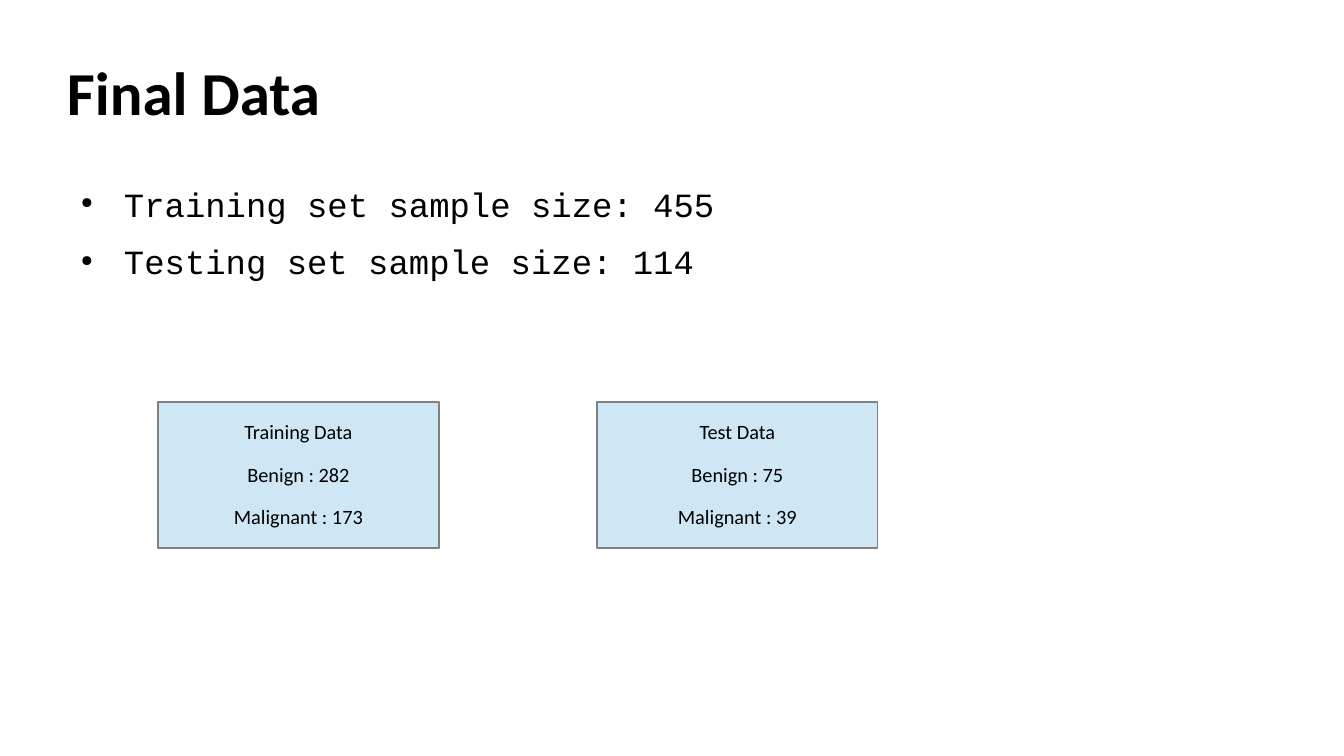
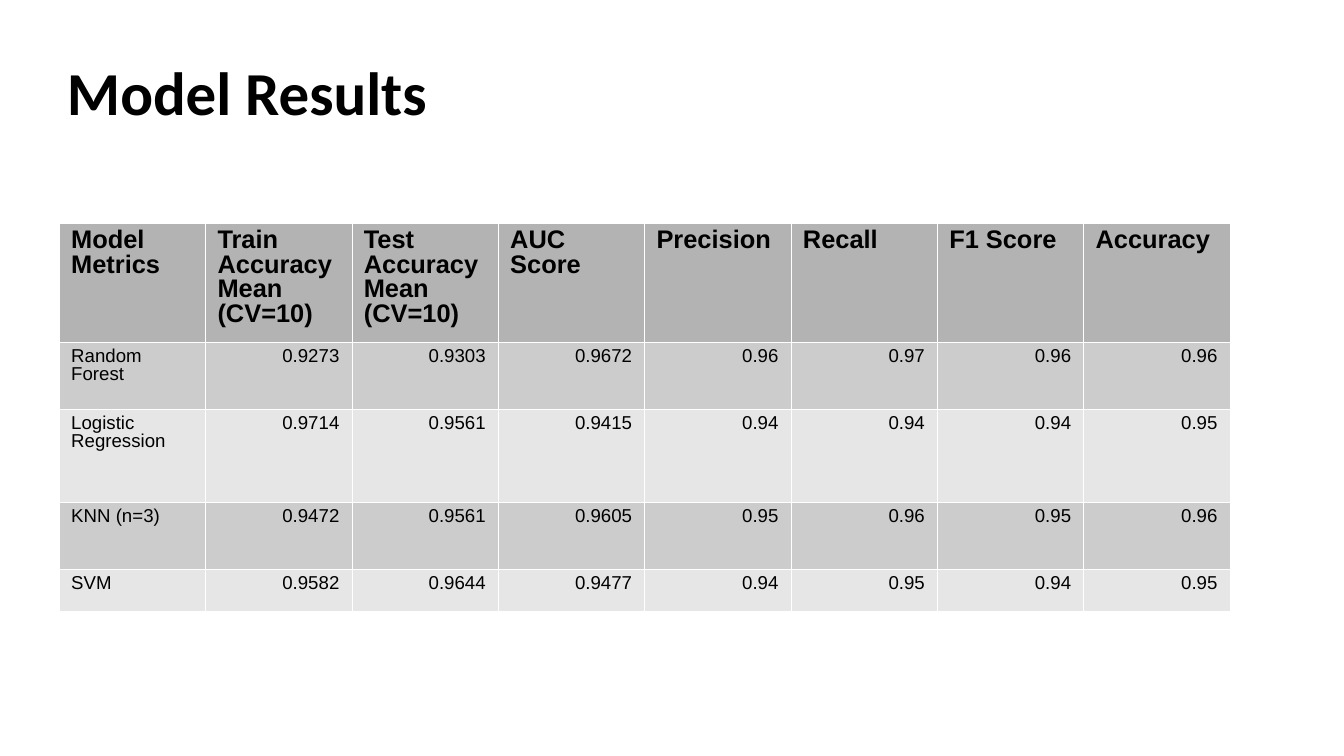
from dataclasses import dataclass
from typing import Any, Optional

from lxml.etree import SubElement as Sub
from pptx import Presentation
from pptx.dml.color import RGBColor as RGB
from pptx.enum.shapes import MSO_SHAPE as Shape
from pptx.enum.text import MSO_ANCHOR as Anchor, PP_ALIGN as Align
from pptx.oxml.ns import qn
from pptx.util import Emu, Pt

SCALE = 914400 / 122


@dataclass(frozen=True)
class Style:
    font: str
    size: int
    lead: float
    bold: bool = False
    after: float = 0


@dataclass(frozen=True)
class Theme:
    ink: str = "000000"
    paper: str = "FFFFFF"
    box: str = "CFE7F5"
    edge: str = "808080"
    head: str = "B3B3B3"
    bands: tuple[str, str] = ("CCCCCC", "E6E6E6")
    title: Style = Style("Calibri", 36, 0.83, bold=True)
    list: Style = Style("Courier New", 20, 0.93, after=11.5)
    label: Style = Style("Calibri", 12, 0.94, after=11.5)
    top: Style = Style("Arial", 15, 0.87, bold=True)
    cell: Style = Style("Arial", 11, 0.87)


@dataclass(frozen=True)
class Rect:
    left: int
    top: int
    width: int
    height: int

    def emu(self) -> tuple[Emu, Emu, Emu, Emu]:
        return px(self.left), px(self.top), px(self.width), px(self.height)


@dataclass(frozen=True)
class Split:
    name: str
    benign: int
    bad: int


@dataclass(frozen=True)
class Row:
    name: str
    values: tuple[str, ...]
    height: int


THEME = Theme()
TITLE = Rect(67, 29, 937, 125)
LIST = Rect(67, 183, 1210, 439)
BOX = Rect(158, 402, 281, 146)
STEP = 439
GRID = Rect(59, 223, 1171, 388)
SPLITS = (Split("Training Data", 282, 173), Split("Test Data", 75, 39))
SIZES = ("Training set sample size: 455", "Testing set sample size: 114")
ROWS = (
    Row("Model Metrics", ("Train Accuracy Mean (CV=10)", "Test Accuracy Mean (CV=10)",
                          "AUC Score", "Precision", "Recall", "F1 Score", "Accuracy"), 119),
    Row("Random Forest", ("0.9273", "0.9303", "0.9672", "0.96", "0.97", "0.96", "0.96"), 67),
    Row("Logistic Regression", ("0.9714", "0.9561", "0.9415", "0.94", "0.94", "0.94", "0.95"), 93),
    Row("KNN (n=3)", ("0.9472", "0.9561", "0.9605", "0.95", "0.96", "0.95", "0.96"), 67),
    Row("SVM", ("0.9582", "0.9644", "0.9477", "0.94", "0.95", "0.94", "0.95"), 42),
)


def px(n: int) -> Emu:
    return Emu(round(n * SCALE))


def bullet(para: Any) -> None:
    props = para._p.get_or_add_pPr()
    props.set("marL", str(px(57)))
    props.set("indent", str(px(-43)))
    tone = Sub(props, qn("a:buClr"))
    Sub(tone, qn("a:srgbClr"), val=THEME.ink)
    Sub(props, qn("a:buSzPct"), val="45000")
    Sub(props, qn("a:buChar"), char="●")


def write(frame: Any, text: str, style: Style, align: Optional[Align] = None,
          dots: bool = False) -> None:
    frame.text = text
    last = len(frame.paragraphs) - 1
    for i, para in enumerate(frame.paragraphs):
        if dots:
            bullet(para)
        para.alignment = align
        para.line_spacing = style.lead
        para.space_after = Pt(style.after if dots or i < last else 0)
        for run in para.runs:
            run.font.name = style.font
            run.font.size = Pt(style.size)
            run.font.bold = style.bold
            run.font.color.rgb = RGB.from_string(THEME.ink)


def inset(frame: Any, left: int, top: int, right: int, low: int) -> None:
    frame.margin_left, frame.margin_top = px(left), px(top)
    frame.margin_right, frame.margin_bottom = px(right), px(low)


def panel(slide: Any, rect: Rect, top: int) -> Any:
    frame = slide.shapes.add_textbox(*rect.emu()).text_frame
    frame.word_wrap = True
    inset(frame, 0, top, 0, 0)
    return frame


def page(deck: Any, title: str) -> Any:
    slide = deck.slides.add_slide(deck.slide_layouts[6])
    frame = panel(slide, TITLE, 11)
    frame.vertical_anchor = Anchor.MIDDLE
    write(frame, title, THEME.title)
    return slide


def card(slide: Any, rect: Rect, split: Split) -> None:
    shape = slide.shapes.add_shape(Shape.RECTANGLE, *rect.emu())
    shape.shadow.inherit = False
    shape.fill.solid()
    shape.fill.fore_color.rgb = RGB.from_string(THEME.box)
    shape.line.color.rgb = RGB.from_string(THEME.edge)
    shape.line.width = Pt(0.75)
    frame = shape.text_frame
    frame.word_wrap = False
    frame.vertical_anchor = Anchor.MIDDLE
    inset(frame, 12, 7, 12, 6)
    text = f"{split.name}\nBenign : {split.benign}\nMalignant : {split.bad}"
    write(frame, text, THEME.label, Align.CENTER)


def border(cell: Any) -> None:
    props = cell._tc.get_or_add_tcPr()
    for i, side in enumerate(("lnL", "lnR", "lnT", "lnB")):
        line = props.makeelement(qn(f"a:{side}"), {"w": str(Pt(0.06))})
        fill = Sub(line, qn("a:solidFill"))
        Sub(fill, qn("a:srgbClr"), val=THEME.paper)
        props.insert(i, line)


def table(slide: Any, rect: Rect, rows: tuple[Row, ...]) -> None:
    count = len(rows[0].values) + 1
    grid = slide.shapes.add_table(len(rows), count, *rect.emu()).table
    grid.first_row = grid.horz_banding = False
    for r, row in enumerate(rows):
        grid.rows[r].height = px(row.height)
        tone = THEME.bands[(r - 1) % 2] if r else THEME.head
        for c, text in enumerate((row.name, *row.values)):
            cell = grid.cell(r, c)
            cell.fill.solid()
            cell.fill.fore_color.rgb = RGB.from_string(tone)
            border(cell)
            write(cell.text_frame, text, THEME.cell if r else THEME.top,
                  Align.RIGHT if r and c else Align.LEFT)


def main() -> None:
    deck = Presentation()
    deck.slide_width, deck.slide_height = px(1344), px(756)
    data = page(deck, "Final Data")
    write(panel(data, LIST, 4), "\n".join(SIZES), THEME.list, dots=True)
    for i, split in enumerate(SPLITS):
        spot = Rect(BOX.left + i * STEP, BOX.top, BOX.width, BOX.height)
        card(data, spot, split)
    table(page(deck, "Model Results"), GRID, ROWS)
    deck.save("out.pptx")


if __name__ == "__main__":
    main()
